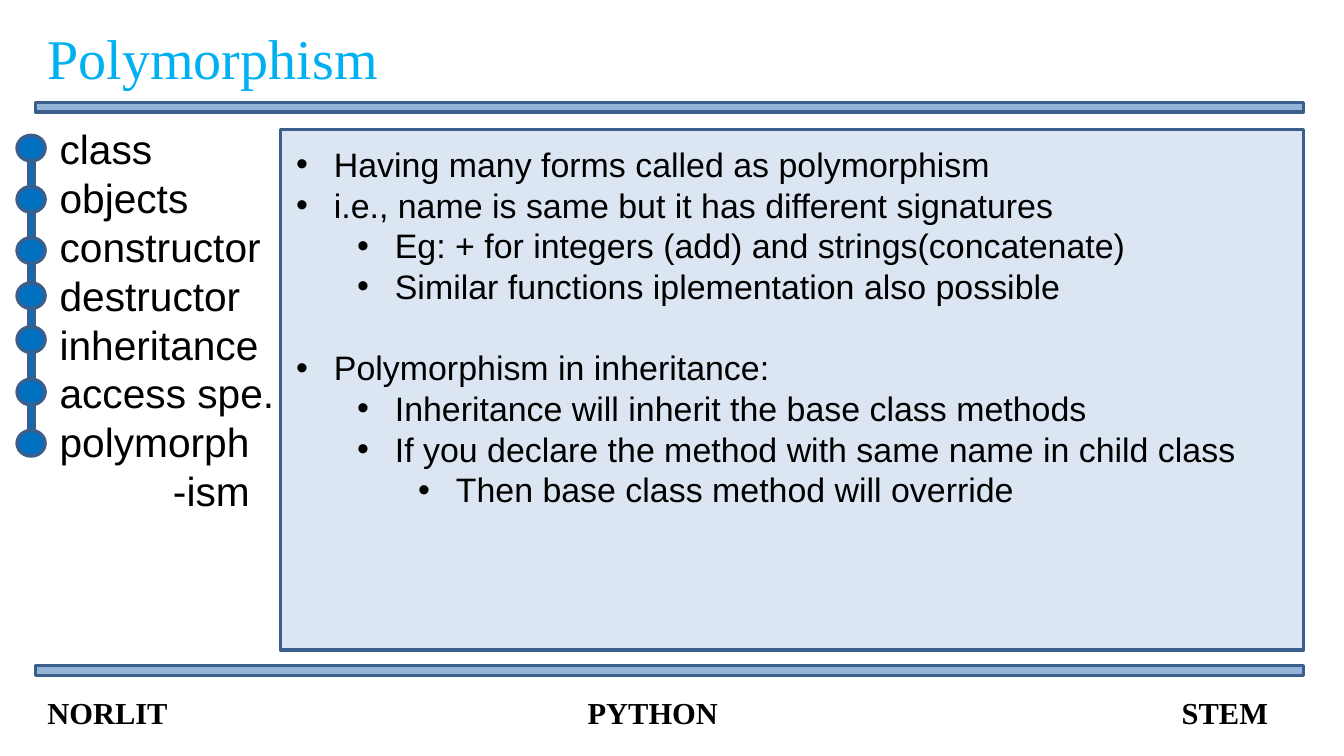
from dataclasses import dataclass
from itertools import pairwise

from lxml.etree import SubElement
from pptx import Presentation
from pptx.dml.color import RGBColor
from pptx.enum.shapes import MSO_SHAPE
from pptx.enum.text import MSO_ANCHOR, PP_ALIGN
from pptx.oxml.ns import qn
from pptx.slide import Slide
from pptx.text.text import TextFrame, _Paragraph
from pptx.util import Inches, Pt

SLIDE_WIDTH, SLIDE_HEIGHT = Inches(11.02), Inches(6.2)


@dataclass(frozen=True)
class Theme:
    title_color: str = "00B0F0"
    text_color: str = "000000"
    panel_fill: str = "DCE6F2"
    bar_fill: str = "93B3D7"
    node_fill: str = "0070C0"
    outline: str = "3A5F8C"
    outline_width: float = 2
    heading_font: str = "Times New Roman"
    body_font: str = "Arial"
    title_size: float = 33.1
    topic_size: float = 24
    body_size: float = 20
    footer_size: float = 18
    line_factor: float = 1.2


@dataclass(frozen=True)
class Area:
    """Left, top, width and height as percentages of the slide."""
    left: float
    top: float
    width: float
    height: float

    def lengths(self) -> tuple[int, int, int, int]:
        return (
            round(SLIDE_WIDTH * self.left / 100),
            round(SLIDE_HEIGHT * self.top / 100),
            round(SLIDE_WIDTH * self.width / 100),
            round(SLIDE_HEIGHT * self.height / 100),
        )


@dataclass(frozen=True)
class Point:
    text: str
    level: int = 0
    lines_before: int = 0


THEME = Theme()
MARGIN, CONTENT_WIDTH = 2.63, 94.37
BAR_TOPS = (13.55, 88.06)
NODE_TOPS = (17.9, 24.68, 31.45, 37.42, 43.23, 50.16, 56.94)
NODE_LEFT, NODE_WIDTH, NODE_HEIGHT = 1.27, 2.09, 3.39
LINK_LEFT, LINK_WIDTH = 2.13, 0.45
BULLET_HANG, LEVEL_STEP = 0.31, 0.5
TOPIC_TAIL_INDENT = 0.93

TOPICS = ("class", "objects", "constructor", "destructor",
          "inheritance", "access spe.", "polymorph", "-ism")
POINTS = (
    Point("Having many forms called as polymorphism"),
    Point("i.e., name is same but it has different signatures"),
    Point("Eg: + for integers (add) and strings(concatenate)", 1),
    Point("Similar functions iplementation also possible", 1),
    Point("Polymorphism in inheritance:", lines_before=1),
    Point("Inheritance will inherit the base class methods", 1),
    Point("If you declare the method with same name in child class", 1),
    Point("Then base class method will override", 2),
)
FOOTER = ("NORLIT", "PYTHON", "STEM")
FOOTER_TABS = ((4.43, "l"), (10.01, "r"))


def add_block(slide: Slide, kind: MSO_SHAPE, area: Area, fill: str) -> None:
    block = slide.shapes.add_shape(kind, *area.lengths())
    block.shadow.inherit = False
    block.fill.solid()
    block.fill.fore_color.rgb = RGBColor.from_string(fill)
    block.line.color.rgb = RGBColor.from_string(THEME.outline)
    block.line.width = Pt(THEME.outline_width)


def add_text(slide: Slide, area: Area, wrap: bool) -> TextFrame:
    frame = slide.shapes.add_textbox(*area.lengths()).text_frame
    frame.word_wrap = wrap
    return frame


def next_paragraph(frame: TextFrame, index: int) -> _Paragraph:
    return frame.add_paragraph() if index else frame.paragraphs[0]


def set_font(para: _Paragraph, name: str, size: float, color: str,
             bold: bool = False) -> None:
    para.font.name = name
    para.font.size = Pt(size)
    para.font.bold = bold
    para.font.color.rgb = RGBColor.from_string(color)


def set_indent(para: _Paragraph, left: float, first: float = 0) -> None:
    properties = para._p.get_or_add_pPr()
    properties.set("marL", str(Inches(left)))
    properties.set("indent", str(Inches(first)))


def add_title(slide: Slide) -> None:
    title = slide.shapes.title
    title.left, title.top, title.width, title.height = Area(
        MARGIN, 2.26, 27.4, 10.65).lengths()
    frame = title.text_frame
    frame.text = "Polymorphism"
    frame.word_wrap = False
    frame.vertical_anchor = MSO_ANCHOR.MIDDLE
    para = frame.paragraphs[0]
    para.alignment = PP_ALIGN.LEFT
    set_font(para, THEME.heading_font, THEME.title_size, THEME.title_color)


def add_points(slide: Slide) -> None:
    frame = add_text(slide, Area(21.14, 18.23, 72.32, 50.48), wrap=False)
    line_height = THEME.body_size * THEME.line_factor
    for index, point in enumerate(POINTS):
        para = next_paragraph(frame, index)
        para.text = point.text
        para.level = point.level
        para.line_spacing = Pt(line_height)
        para.space_before = Pt(line_height * point.lines_before)
        set_indent(para, BULLET_HANG + LEVEL_STEP * point.level, -BULLET_HANG)
        properties = para._p.get_or_add_pPr()
        SubElement(properties, qn("a:buFont"), typeface=THEME.body_font)
        SubElement(properties, qn("a:buChar"), char="•")
        set_font(para, THEME.body_font, THEME.body_size, THEME.text_color)


def add_topics(slide: Slide) -> None:
    frame = add_text(slide, Area(3.54, 15.65, 92.92, 53.71), wrap=True)
    for index, topic in enumerate(TOPICS):
        para = next_paragraph(frame, index)
        para.text = topic
        para.line_spacing = Pt(THEME.topic_size * THEME.line_factor)
        set_font(para, THEME.body_font, THEME.topic_size, THEME.text_color)
    set_indent(frame.paragraphs[-1], TOPIC_TAIL_INDENT)


def add_timeline(slide: Slide) -> None:
    for top in NODE_TOPS:
        add_block(slide, MSO_SHAPE.OVAL,
                  Area(NODE_LEFT, top, NODE_WIDTH, NODE_HEIGHT), THEME.node_fill)
    for top, next_top in pairwise(NODE_TOPS):
        bottom = top + NODE_HEIGHT
        add_block(slide, MSO_SHAPE.RECTANGLE,
                  Area(LINK_LEFT, bottom, LINK_WIDTH, next_top - bottom),
                  THEME.node_fill)


def add_footer(slide: Slide) -> None:
    frame = add_text(slide, Area(MARGIN, 90.97, CONTENT_WIDTH, 6.13), wrap=True)
    para = frame.paragraphs[0]
    para.add_run().text = "\t".join(FOOTER)
    tabs = SubElement(para._p.get_or_add_pPr(), qn("a:tabLst"))
    for position, alignment in FOOTER_TABS:
        SubElement(tabs, qn("a:tab"), pos=str(Inches(position)), algn=alignment)
    set_font(para, THEME.heading_font, THEME.footer_size, THEME.text_color, bold=True)


def main() -> None:
    deck = Presentation()
    deck.slide_width, deck.slide_height = SLIDE_WIDTH, SLIDE_HEIGHT
    page = deck.slides.add_slide(deck.slide_layouts.get_by_name("Title Only"))

    # Panel and divider bars
    add_block(page, MSO_SHAPE.RECTANGLE, Area(20.87, 17.1, 76.13, 68.87),
              THEME.panel_fill)
    for top in BAR_TOPS:
        add_block(page, MSO_SHAPE.RECTANGLE,
                  Area(MARGIN, top, CONTENT_WIDTH, 1.29), THEME.bar_fill)

    # Title and main points
    add_title(page)
    add_points(page)

    # Topic list with its timeline
    add_topics(page)
    add_timeline(page)

    # Footer
    add_footer(page)
    deck.save("out.pptx")


if __name__ == "__main__":
    main()
